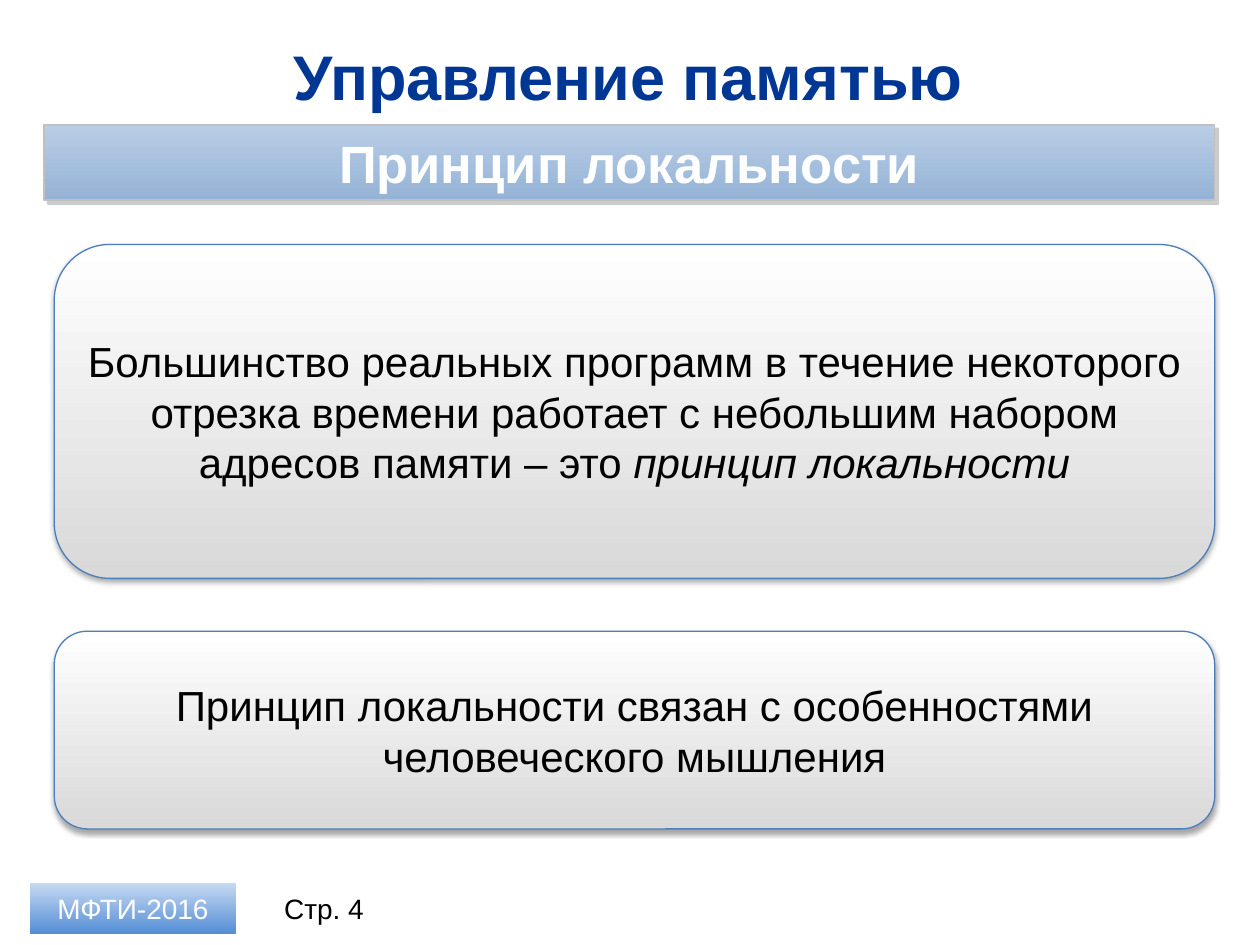
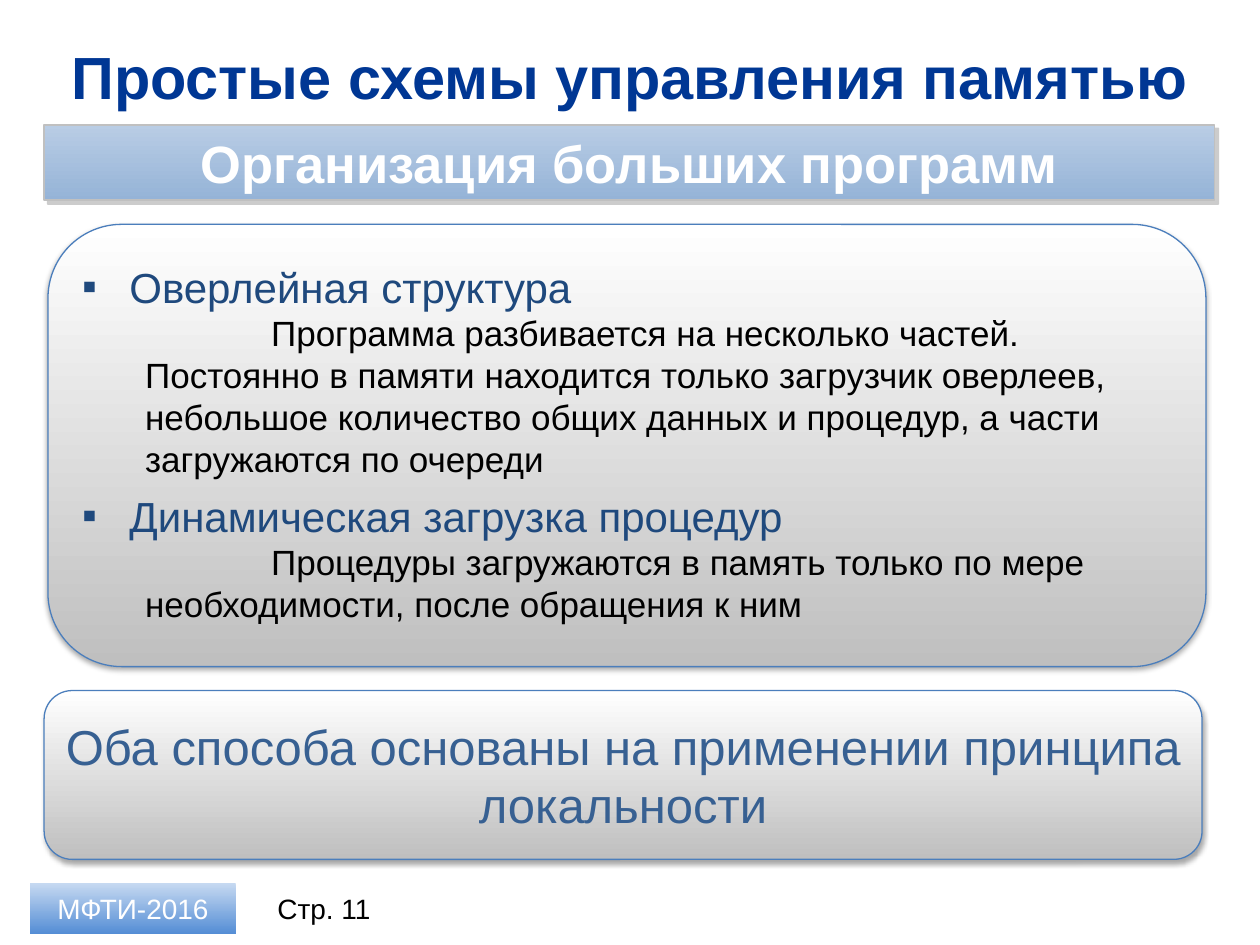
from dataclasses import dataclass

from lxml.etree import SubElement
from pptx import Presentation
from pptx.dml.color import RGBColor
from pptx.enum.shapes import MSO_SHAPE
from pptx.enum.text import MSO_ANCHOR, MSO_AUTO_SIZE, PP_ALIGN
from pptx.oxml.ns import qn
from pptx.util import Pt


@dataclass(frozen=True)
class Theme:
    font: str = "Arial"
    black: str = "000000"
    white: str = "FFFFFF"
    title: str = "003794"
    head: str = "1F497D"
    note: str = "376092"
    edge: str = "4B7EBC"
    rim: str = "C0C0C0"
    pale: tuple = ("FFFFFF", "D9D9D9")
    deep: tuple = ("FFFFFF", "BFBFBF")
    band: tuple = ("B9CDE5", "95B3D7")
    chip: tuple = ("C6D9F1", "558ED5")
    soft: tuple = ("000000", 35, 3.1, 1.8, 90)
    hard: tuple = ("808080", 40, 0, 3, 45)
    big: int = 36
    wide: int = 34
    sub: int = 30
    large: int = 28
    text: int = 24
    small: int = 20
    foot: int = 16


THEME = Theme()
TITLE = (17.3, 18.7, 683.3, 49)
TIGHT = (25.2, 18.7, 668.9, 49)
BAND = (25.2, 71.3, 668.9, 43.2)
FOOT = (17.3, 504.7, 206.7, 28.8)
PAD = (7.2, 3.6, 7.2, 3.6)


def apply(item, values):
    for name, value in values.items():
        setattr(item, name, value)


def place(shape, box):
    apply(shape, dict(zip(("left", "top", "width", "height"), map(Pt, box))))


def frame(shape, pad=PAD):
    sides = ("margin_left", "margin_top", "margin_right", "margin_bottom")
    body = shape.text_frame
    apply(body, dict(zip(sides, map(Pt, pad))))
    apply(body, {
        "word_wrap": True,
        "auto_size": MSO_AUTO_SIZE.NONE,
        "vertical_anchor": MSO_ANCHOR.MIDDLE,
    })
    return body


def write(para, text, size, color, bold=False, italic=False):
    run = para.add_run()
    run.text = text
    apply(run.font, {
        "name": THEME.font, "size": Pt(size), "bold": bold, "italic": italic,
    })
    run.font.color.rgb = RGBColor.from_string(color)


def center(shape, text, size, color, bold=False, pad=PAD):
    para = frame(shape, pad).paragraphs[0]
    para.alignment = PP_ALIGN.CENTER
    write(para, text, size, color, bold)
    return para


def shade(shape, color, alpha, blur, dist, angle):
    effect = shape._element.spPr.find(qn("a:effectLst"))
    outer = SubElement(effect, qn("a:outerShdw"), {
        "blurRad": str(Pt(blur)), "dist": str(Pt(dist)),
        "dir": str(angle * 60000), "algn": "ctr", "rotWithShape": "0",
    })
    tint = SubElement(outer, qn("a:srgbClr"), val=color)
    SubElement(tint, qn("a:alpha"), val=str(alpha * 1000))


def panel(slide, box, colors, kind=MSO_SHAPE.ROUNDED_RECTANGLE,
          line=(THEME.edge, 0.75), shadow=THEME.soft):
    shape = slide.shapes.add_shape(kind, *map(Pt, box))
    shape.fill.gradient()
    shape.fill.gradient_angle = 270
    for stop, color in zip(shape.fill.gradient_stops, colors):
        stop.color.rgb = RGBColor.from_string(color)
    if line:
        shape.line.color.rgb = RGBColor.from_string(line[0])
        shape.line.width = Pt(line[1])
    else:
        shape.line.fill.background()
    shape.shadow.inherit = False
    if shadow:
        shade(shape, *shadow)
    return shape


def header(slide, box, text, size, sub):
    title = slide.shapes.title
    place(title, box)
    center(title, text, size, THEME.title, True)
    bar = panel(slide, BAND, THEME.band, MSO_SHAPE.RECTANGLE,
                (THEME.rim, 1), THEME.hard)
    center(bar, sub, THEME.sub, THEME.white, True, (17.3, 2.9, 17.3, 2.9))


def footer(slide, box, page):
    left, top, width, height = box
    chip = panel(slide, (left, top, 117.4, height), THEME.chip,
                 MSO_SHAPE.RECTANGLE, None, None)
    center(chip, "МФТИ-2016", THEME.foot, THEME.white)
    area = (left + width - 77.8, top, 77.8, height)
    label = slide.shapes.add_textbox(*map(Pt, area))
    center(label, f"Стр. {page}", THEME.foot, THEME.black)


def indent(para, left, first, mark=None):
    props = para._p.get_or_add_pPr()
    props.set("marL", str(Pt(left)))
    props.set("indent", str(Pt(first)))
    if mark:
        color = SubElement(props, qn("a:buClr"))
        SubElement(color, qn("a:srgbClr"), val=THEME.head)
        SubElement(props, qn("a:buChar"), char=mark)
    else:
        SubElement(props, qn("a:buNone"))


def topics(slide, box, items):
    panel(slide, box, THEME.deep)
    left, top, width, height = box
    inset = 12.3
    body = slide.placeholders[1]
    place(body, (left + inset, top + inset,
                 width - 2 * inset, height - 2 * inset))
    slide.shapes._spTree.append(body._element)
    text = frame(body, (7.2, 8.6, 7.2, 11.5))
    for rank, (head, detail) in enumerate(items):
        para = text.add_paragraph() if rank else text.paragraphs[0]
        para.space_before = Pt(6 if rank else 0)
        indent(para, 27, -27, "▪")
        write(para, head, THEME.text, THEME.head)
        para = text.add_paragraph()
        apply(para, {"level": 1, "space_before": Pt(0)})
        indent(para, 36, 72)
        write(para, detail, THEME.small, THEME.black)


def locality(deck):
    slide = deck.slides.add_slide(deck.slide_layouts[5])
    header(slide, TITLE, "Управление памятью", THEME.big,
           "Принцип локальности")
    rule = panel(slide, (31, 139.7, 663.1, 190.8), THEME.pale)
    para = center(
        rule,
        "Большинство реальных программ в течение некоторого отрезка времени "
        "работает с небольшим набором адресов памяти – это ",
        THEME.text, THEME.black)
    write(para, "принцип локальности", THEME.text, THEME.black, italic=True)
    cause = panel(slide, (31, 360.7, 663.1, 113), THEME.pale)
    center(cause,
           "Принцип локальности связан с особенностями человеческого мышления",
           THEME.text, THEME.black)
    footer(slide, FOOT, 4)


def programs(deck):
    slide = deck.slides.add_slide(deck.slide_layouts[1])
    header(slide, TIGHT, "Простые схемы управления памятью", THEME.wide,
           "Организация больших программ")
    topics(slide, (27.4, 128.2, 661.7, 252.7), [
        ("Оверлейная структура",
         "Программа разбивается на несколько частей. Постоянно в памяти "
         "находится только загрузчик оверлеев, небольшое количество общих "
         "данных и процедур, а части загружаются по очереди"),
        ("Динамическая загрузка процедур",
         "Процедуры загружаются в память только по мере необходимости, "
         "после обращения к ним"),
    ])
    basis = panel(slide, (25.2, 394.6, 661.7, 96.5), THEME.deep)
    center(basis, "Оба способа основаны на применении принципа локальности",
           THEME.large, THEME.note)
    footer(slide, FOOT, 11)


def main():
    deck = Presentation()
    apply(deck, {"slide_width": Pt(720), "slide_height": Pt(540)})
    locality(deck)
    programs(deck)
    deck.save("out.pptx")


if __name__ == "__main__":
    main()
